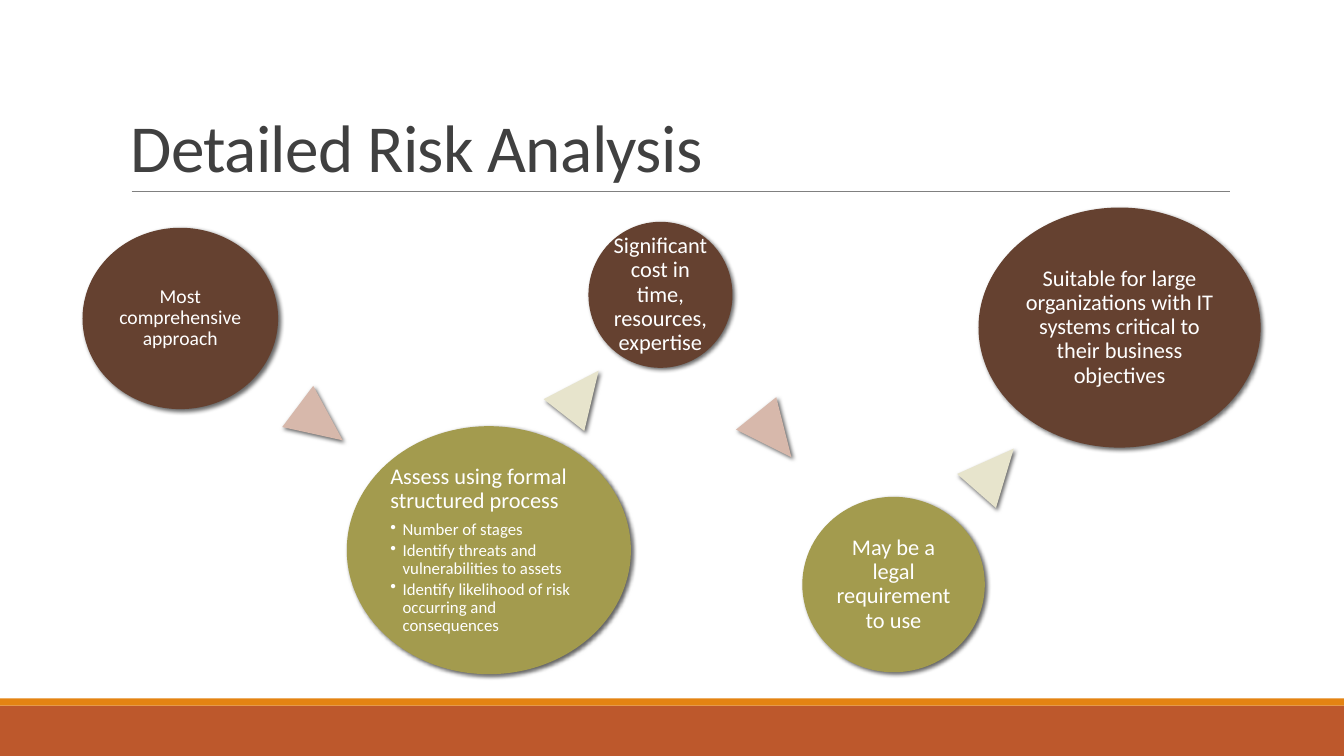
from lxml.etree import SubElement
from pptx import Presentation
from pptx.dml.color import RGBColor
from pptx.enum.shapes import MSO_CONNECTOR, MSO_SHAPE
from pptx.enum.text import MSO_ANCHOR, PP_ALIGN
from pptx.oxml.ns import qn
from pptx.util import Cm, Pt

BROWN = RGBColor(0x65, 0x41, 0x30)
OLIVE = RGBColor(0xA3, 0x9B, 0x4E)
ROSE = RGBColor(0xD7, 0xB8, 0xAB)
CREAM = RGBColor(0xE7, 0xE4, 0xCC)
RUST = RGBColor(0xBD, 0x58, 0x2C)
ORANGE = RGBColor(0xE4, 0x83, 0x12)
GRAY = RGBColor(0x80, 0x80, 0x80)
CHARCOAL = RGBColor(0x40, 0x40, 0x40)
WHITE = RGBColor(0xFF, 0xFF, 0xFF)


def add_filled(kind, left, top, width, height, color, shadow=True):
    shape = slide.shapes.add_shape(kind, Cm(left), Cm(top), Cm(width), Cm(height))
    shape.fill.solid()
    shape.fill.fore_color.rgb = color
    shape.line.fill.background()
    shape.shadow.inherit = False
    if shadow:
        effects = shape._element.spPr.find(qn("a:effectLst"))
        outer = SubElement(effects, qn("a:outerShdw"), blurRad=str(Pt(3)),
                           dist=str(Pt(2)), dir="2700000", rotWithShape="0")
        black = SubElement(outer, qn("a:srgbClr"), val="000000")
        SubElement(black, qn("a:alpha"), val="60000")
    return shape


def style(paragraph, size, color, spacing, after=0):
    paragraph.line_spacing = spacing
    paragraph.space_after = Pt(after)
    for run in paragraph.runs:
        run.font.name = "Calibri"
        run.font.size = Pt(size)
        run.font.color.rgb = color


prs = Presentation()
prs.slide_width, prs.slide_height = Cm(33.87), Cm(19.05)
slide = prs.slides.add_slide(prs.slide_layouts[6])

add_filled(MSO_SHAPE.RECTANGLE, 0, 17.78, 33.87, 1.27, RUST, shadow=False)
add_filled(MSO_SHAPE.RECTANGLE, 0, 17.6, 33.87, 0.18, ORANGE, shadow=False)

title_rule = slide.shapes.add_connector(
    MSO_CONNECTOR.STRAIGHT, Cm(3.32), Cm(4.83), Cm(31), Cm(4.83))
title_rule.line.color.rgb = GRAY
title_rule.line.width = Pt(0.5)
SubElement(title_rule._element.spPr, qn("a:effectLst"))

title = slide.shapes.add_textbox(Cm(3.05), Cm(0.79), Cm(27.94), Cm(4.03)).text_frame
title.word_wrap = True
title.vertical_anchor = MSO_ANCHOR.BOTTOM
title.text = "Detailed Risk Analysis"
style(title.paragraphs[0], 48, CHARCOAL, 0.85)
title.paragraphs[0].runs[0].font._element.set("spc", "-50")

points = [
    (2.08, 5.74, 4.93, 4.57, BROWN, 14, "Most comprehensive approach", []),
    (8.74, 10.74, 7.16, 6.25, OLIVE, 16, "Assess using formal structured process",
     ["Number of stages",
      "Identify threats and vulnerabilities to assets",
      "Identify likelihood of risk occurring and consequences"]),
    (14.83, 5.59, 3.63, 3.68, BROWN, 16,
     "Significant cost in time, resources, expertise", []),
    (20.22, 12.52, 4.6, 4.42, OLIVE, 16, "May be a legal requirement to use", []),
    (24.66, 5.23, 7.11, 6.05, BROWN, 16,
     "Suitable for large organizations with IT systems critical to their "
     "business objectives", []),
]
for left, top, width, height, color, size, point, details in points:
    frame = add_filled(MSO_SHAPE.OVAL, left, top, width, height, color).text_frame
    frame.word_wrap = True
    frame.vertical_anchor = MSO_ANCHOR.MIDDLE
    frame.margin_left = frame.margin_right = Cm(0.05)
    frame.margin_top = frame.margin_bottom = Cm(0.05)
    heading = frame.paragraphs[0]
    heading.text = point
    heading.alignment = PP_ALIGN.LEFT if details else PP_ALIGN.CENTER
    style(heading, size, WHITE, 0.9, 5.6)
    for detail in details:
        bullet = frame.add_paragraph()
        bullet.text = detail
        bullet.level = 1
        bullet.alignment = PP_ALIGN.LEFT
        style(bullet, 12, WHITE, 0.9, 1.8)
        properties = bullet._p.get_or_add_pPr()
        properties.set("marL", str(Cm(0.31)))
        properties.set("indent", str(-Cm(0.31)))
        SubElement(properties, qn("a:buChar"), char="•")

arrows = [
    (7.42, 9.96, 127, ROSE),
    (14, 9.19, 38, CREAM),
    (18.85, 10.26, 141.2, ROSE),
    (24.43, 11.13, 41.3, CREAM),
]
for left, top, angle, color in arrows:
    arrow = add_filled(MSO_SHAPE.ISOSCELES_TRIANGLE, left, top, 1.3, 1.42, color)
    arrow.rotation = angle

prs.save("out.pptx")
